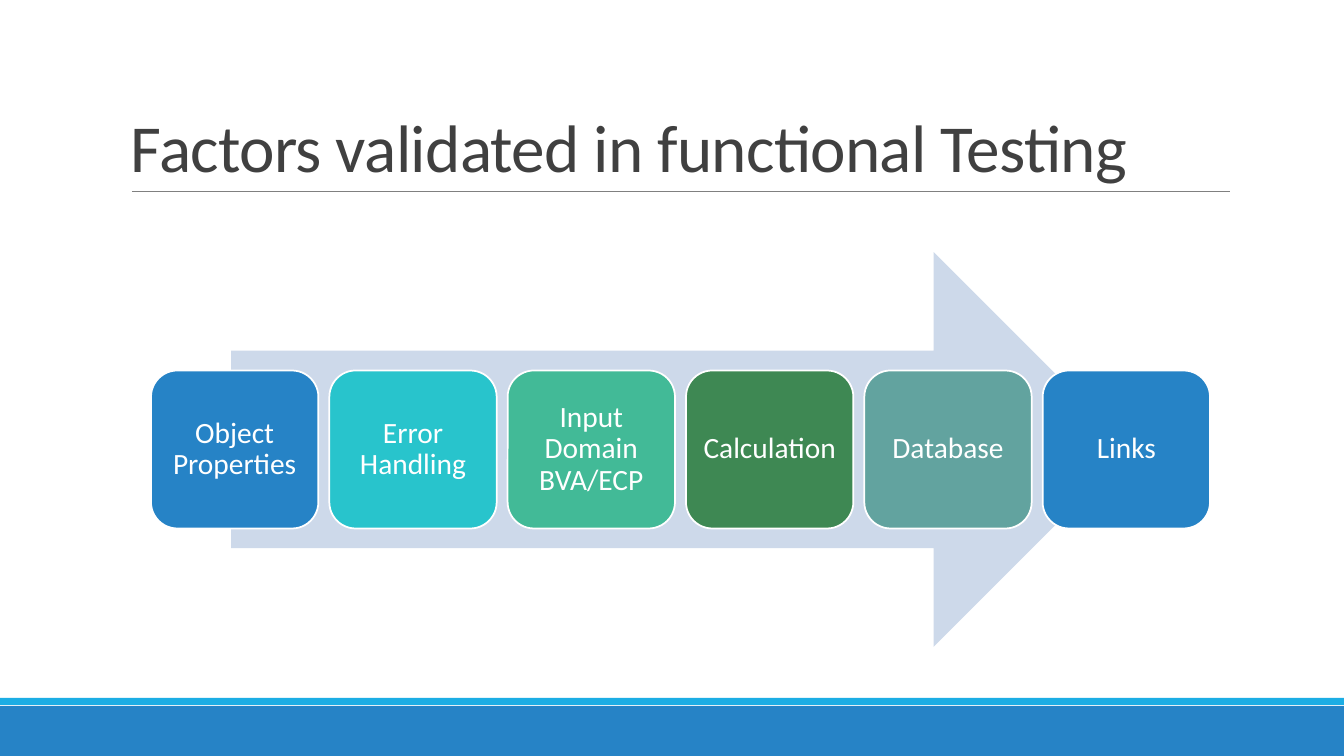
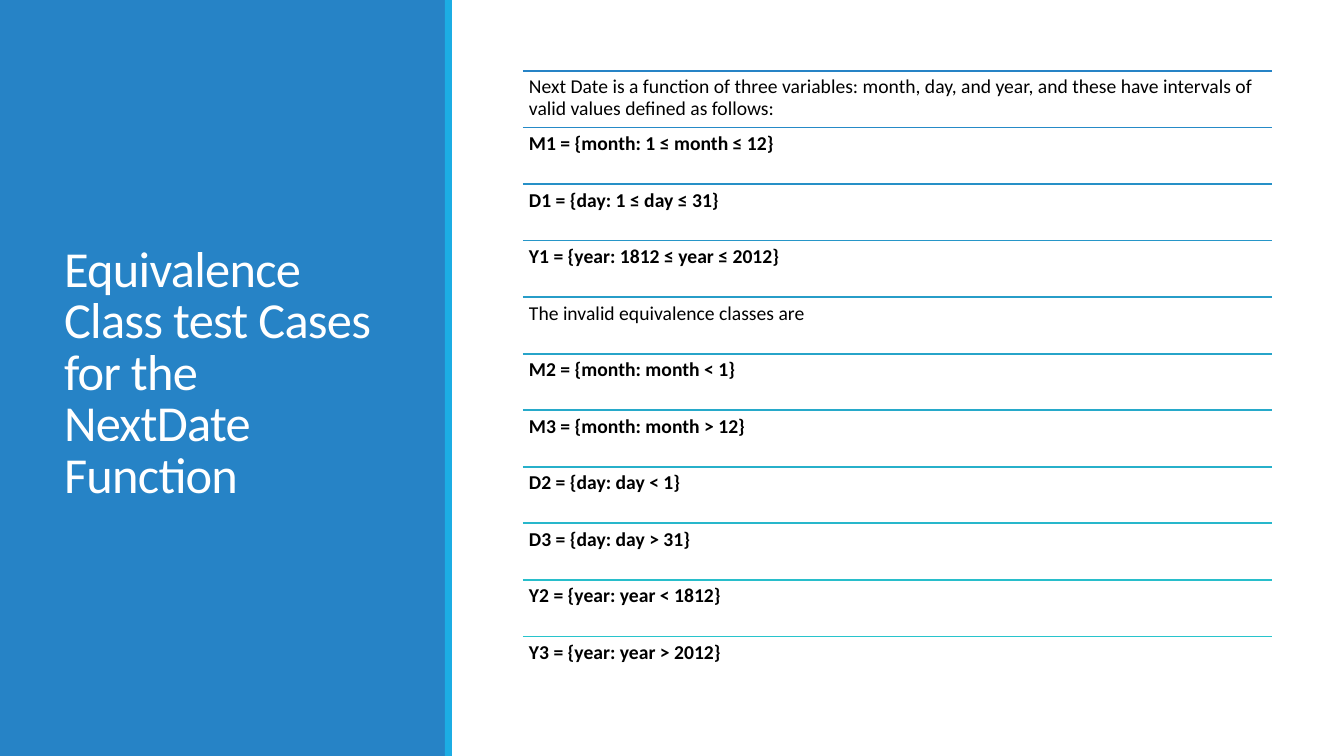
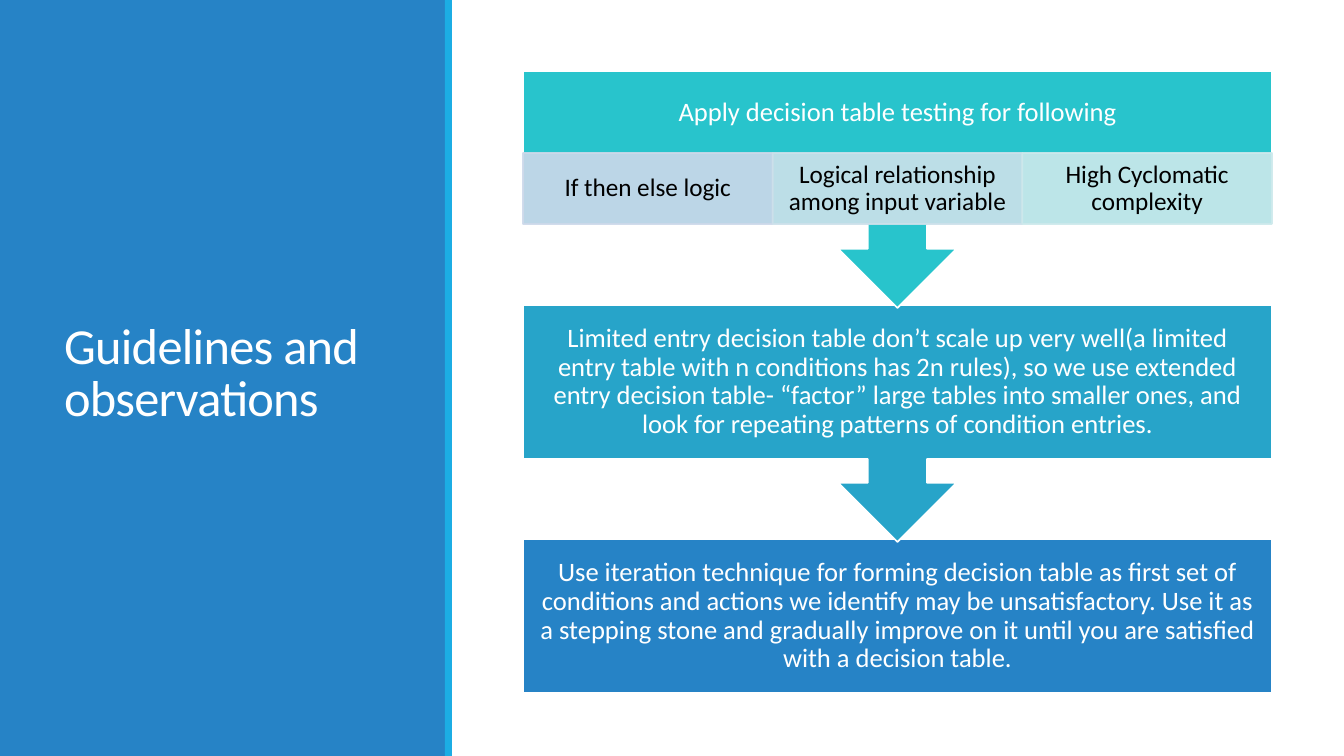
from dataclasses import dataclass

from pptx import Presentation
from pptx import util as u
from pptx.dml.color import RGBColor
from pptx.enum import shapes, text
from pptx.oxml.ns import qn
from pptx.oxml.xmlchemy import OxmlElement

SLIDE_W, SLIDE_H = 1344, 756
SCALE = 12192000 / SLIDE_W


@dataclass(frozen=True)
class Theme:
    """Colours, font and type sizes shared by all slides."""
    font: str = "Calibri"
    blue: str = "2683C6"
    sky: str = "1CADE4"
    teal: str = "28C4CC"
    green: str = "42BA97"
    forest: str = "3E8853"
    sage: str = "62A39F"
    pale_blue: str = "CDD9EA"
    pale_teal: str = "CDE9EC"
    white: str = "FFFFFF"
    black: str = "000000"
    title_ink: str = "404040"
    title_rule: str = "808080"
    title_pt: float = 48
    panel_title_pt: float = 36
    factor_pt: float = 21
    guideline_pt: float = 19
    part_pt: float = 18
    row_pt: float = 14
    line_pt: float = 1.25
    hairline_pt: float = 0.5
    title_spacing: float = 0.85
    body_spacing: float = 0.9


THEME = Theme()
CONTENT = (523, 71, 749, 622)
KIND = shapes.MSO_SHAPE
ANCHOR = text.MSO_ANCHOR
ALIGN = text.PP_ALIGN

FACTORS = [
    ("Object Properties", THEME.blue),
    ("Error Handling", THEME.teal),
    ("Input Domain BVA/ECP", THEME.green),
    ("Calculation", THEME.forest),
    ("Database", THEME.sage),
    ("Links", THEME.blue),
]
CLASSES = [
    ("Next Date is a function of three variables: month, day, and year, "
     "and these have intervals of valid values defined as follows:", False),
    ("M1 = {month: 1 ≤ month ≤ 12}", True),
    ("D1 = {day: 1 ≤ day ≤ 31}", True),
    ("Y1 = {year: 1812 ≤ year ≤ 2012}", True),
    ("The invalid equivalence classes are", False),
    ("M2 = {month: month < 1}", True),
    ("M3 = {month: month > 12}", True),
    ("D2 = {day: day < 1}", True),
    ("D3 = {day: day > 31}", True),
    ("Y2 = {year: year < 1812}", True),
    ("Y3 = {year: year > 2012}", True),
]
GUIDELINES = [
    "Apply decision table testing for following",
    "Limited entry decision table don’t scale up very well(a limited entry "
    "table with n conditions has 2n rules), so we use extended entry decision "
    "table- “factor” large tables into smaller ones, and look for repeating "
    "patterns of condition entries.",
    "Use iteration technique for forming decision table as first set of "
    "conditions and actions we identify may be unsatisfactory. Use it as a "
    "stepping stone and gradually improve on it until you are satisfied with "
    "a decision table.",
]
PARTS = [
    "If then else logic",
    "Logical relationship among input variable",
    "High Cyclomatic complexity",
]


def px(length):
    """Turn px into EMU."""
    return u.Emu(round(length * SCALE))


def rgb(colour):
    """Turn RRGGBB into a colour object."""
    return RGBColor.from_string(colour)


def blend(start, end, index, count):
    """Return step index of an even run of count colours."""
    share = index / (count - 1)
    pairs = zip(rgb(start), rgb(end))
    return "".join(f"{round(a + (b - a) * share):02X}" for a, b in pairs)


def write(shape, words, size, colour, insets, anchor=ANCHOR.MIDDLE,
          align=ALIGN.CENTER, spacing=THEME.body_spacing, bold=False, tracking=0):
    """Put one styled paragraph into a shape."""
    frame = shape.text_frame
    frame.word_wrap = True
    frame.vertical_anchor = anchor
    (frame.margin_left, frame.margin_top,
     frame.margin_right, frame.margin_bottom) = map(px, insets)
    paragraph = frame.paragraphs[0]
    paragraph.alignment = align
    paragraph.line_spacing = spacing
    font = paragraph.font
    font.name, font.size, font.bold = THEME.font, u.Pt(size), bold
    font.color.rgb = rgb(colour)
    run = paragraph.add_run()
    run.text = words
    if tracking:
        run._r.get_or_add_rPr().set("spc", str(tracking))


def block(slide, kind, box, fill, line=None, opacity=100):
    """Draw a filled preset shape."""
    shape = slide.shapes.add_shape(kind, *map(px, box))
    shape.shadow.inherit = False
    shape.fill.solid()
    shape.fill.fore_color.rgb = rgb(fill)
    if line:
        shape.line.color.rgb = rgb(line)
        shape.line.width = u.Pt(THEME.line_pt)
    else:
        shape.line.fill.background()
    if opacity < 100:
        for colour in shape._element.spPr.iter(qn("a:srgbClr")):
            alpha = OxmlElement("a:alpha")
            alpha.set("val", str(opacity * 1000))
            colour.append(alpha)
    return shape


def rule(slide, left, top, width, colour, weight):
    """Draw a horizontal line."""
    line = slide.shapes.add_connector(
        shapes.MSO_CONNECTOR.STRAIGHT, px(left), px(top), px(left + width), px(top))
    line.line.color.rgb = rgb(colour)
    line.line.width = u.Pt(weight)
    line._element.spPr.append(OxmlElement("a:effectLst"))


def title(slide, box, words, size, colour, anchor):
    """Write a slide title."""
    heading = slide.shapes.add_textbox(*map(px, box))
    write(heading, words, size, colour, (10, 5, 10, 5), anchor, ALIGN.LEFT,
          THEME.title_spacing, tracking=-50)


def banded_slide(deck, words):
    """Add a slide with a top title and footer bands."""
    slide = deck.slides.add_slide(deck.slide_layouts[6])
    block(slide, KIND.RECTANGLE, (0, 706, SLIDE_W, 50), THEME.blue)
    block(slide, KIND.RECTANGLE, (0, 698, SLIDE_W, 7), THEME.sky)
    rule(slide, 132, 191, 1098, THEME.title_rule, THEME.hairline_pt)
    title(slide, (121, 31, 1109, 160), words, THEME.title_pt, THEME.title_ink,
          ANCHOR.BOTTOM)
    return slide


def panel_slide(deck, words):
    """Add a slide with its title in a left panel."""
    slide = deck.slides.add_slide(deck.slide_layouts[6])
    block(slide, KIND.RECTANGLE, (0, 0, 446, SLIDE_H), THEME.blue)
    title(slide, (54, 57, 340, 636), words, THEME.panel_title_pt, THEME.white,
          ANCHOR.MIDDLE)
    block(slide, KIND.RECTANGLE, (445, 0, 7, SLIDE_H), THEME.sky)
    return slide


def factor_arrow(slide, box, factors):
    """Lay a row of cards over a wide arrow."""
    left, top, width, height = box
    gap, card_height = 11, 158
    card_width = (width - gap * (len(factors) - 1)) / len(factors)
    card_top = top + (height - card_height) / 2
    block(slide, KIND.RIGHT_ARROW, (left + 80, top, width - 159, height),
          THEME.pale_blue)
    for index, (words, fill) in enumerate(factors):
        card_left = left + index * (card_width + gap)
        card = block(slide, KIND.ROUNDED_RECTANGLE,
                     (card_left, card_top, card_width, card_height), fill, THEME.white)
        write(card, words, THEME.factor_pt, THEME.white, (8, 8, 8, 8))


def class_list(slide, box, classes):
    """Stack rows of text, each under a rule."""
    left, top, width, height = box
    row_height = height / len(classes)
    for index, (words, bold) in enumerate(classes):
        row_top = top + index * row_height
        rule(slide, left, row_top, width,
             blend(THEME.blue, THEME.teal, index, len(classes)), THEME.line_pt)
        row = slide.shapes.add_textbox(*map(px, (left, row_top, width, row_height)))
        write(row, words, THEME.row_pt, THEME.black, (6, 6, 6, 6), ANCHOR.TOP,
              ALIGN.LEFT, bold=bold)


def guideline_flow(slide, box, guidelines, parts):
    """Stack callouts that point down, the first one split into parts."""
    left, top, width, height = box
    body_height, callout_height, part_height = 154, 237, 71
    last = len(guidelines) - 1
    pitch = (height - body_height) / last
    for index in reversed(range(len(guidelines))):
        kind, step_height = KIND.DOWN_ARROW_CALLOUT, callout_height
        if index == last:
            kind, step_height = KIND.RECTANGLE, body_height
        fill = blend(THEME.teal, THEME.blue, index, len(guidelines))
        step = block(slide, kind, (left, top + index * pitch, width, step_height),
                     fill, THEME.white)
        below = 15 if index else 15 + part_height
        write(step, guidelines[index], THEME.guideline_pt, THEME.white,
              (15, 15, 15, below))
    part_width = width / len(parts)
    part_top = top + body_height - part_height - 1
    for index, words in enumerate(parts):
        tint = blend(THEME.pale_blue, THEME.pale_teal, index, len(parts))
        part = block(slide, KIND.RECTANGLE,
                     (left + index * part_width, part_top, part_width, part_height),
                     tint, tint, opacity=90)
        write(part, words, THEME.part_pt, THEME.black, (14, 3, 14, 3))


def main():
    """Build and save the deck."""
    deck = Presentation()
    deck.slide_width, deck.slide_height = px(SLIDE_W), px(SLIDE_H)
    factor_arrow(banded_slide(deck, "Factors validated in functional Testing"),
                 (151, 252, 1059, 395), FACTORS)
    class_list(panel_slide(deck, "Equivalence Class test Cases for the NextDate Function"),
               CONTENT, CLASSES)
    guideline_flow(panel_slide(deck, "Guidelines and observations"),
                   CONTENT, GUIDELINES, PARTS)
    deck.save("out.pptx")


if __name__ == "__main__":
    main()
